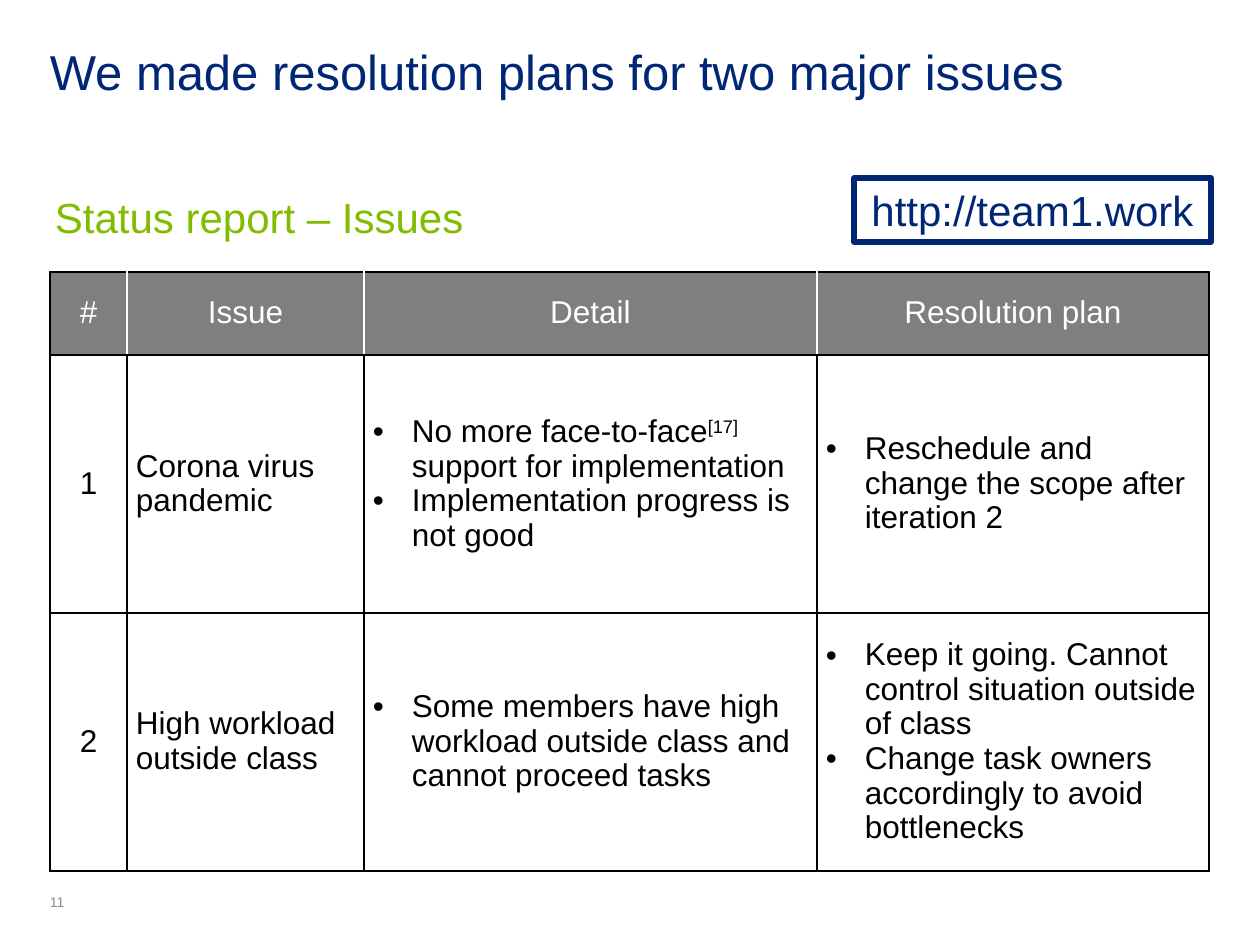
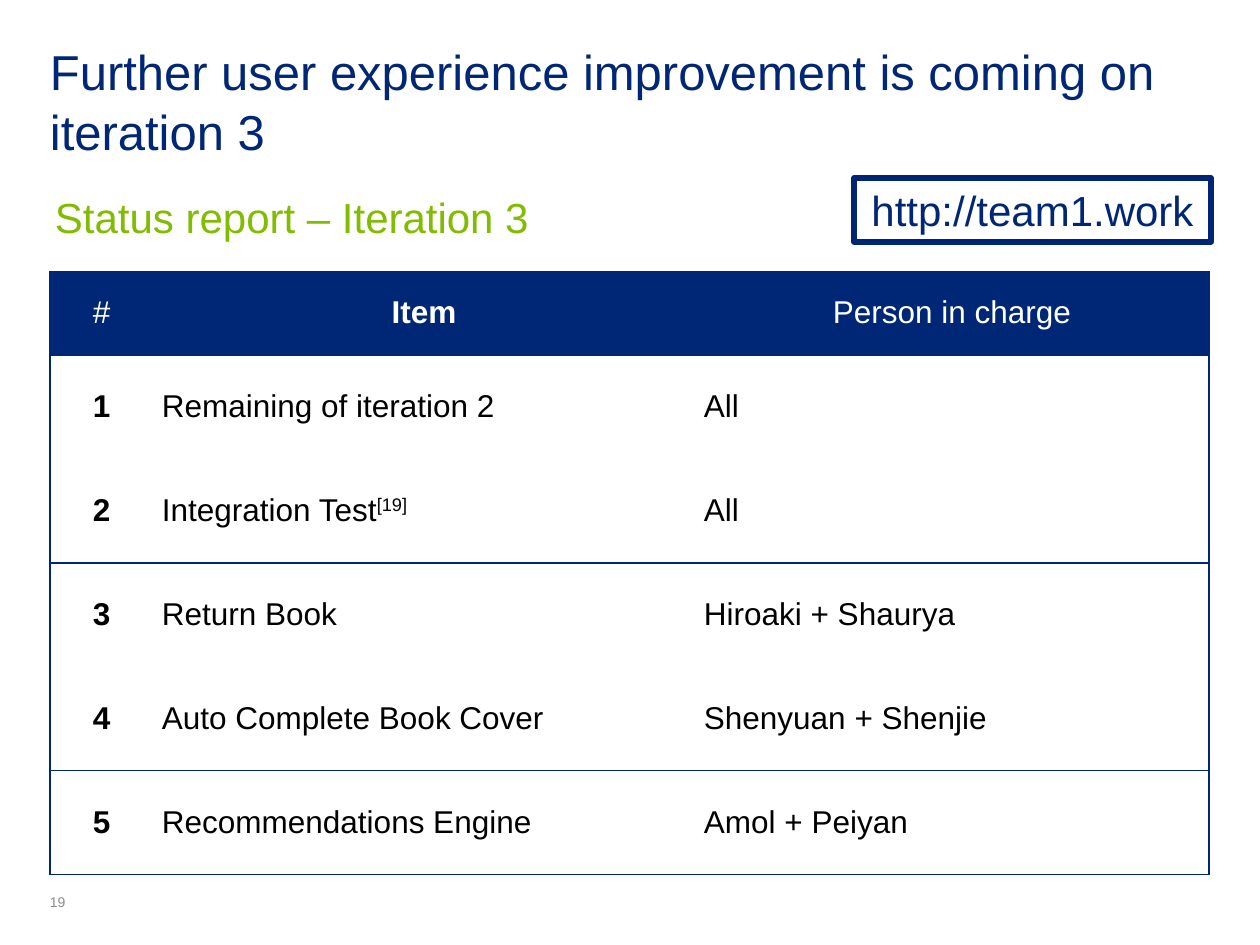
from dataclasses import dataclass
from lxml import etree
from pptx import Presentation
from pptx import util as u
from pptx.dml.color import RGBColor
from pptx.enum import shapes, text
from pptx.oxml import ns

SCALE = 914400 / 126
CENTER = text.PP_ALIGN.CENTER
MIDDLE = text.MSO_ANCHOR.MIDDLE


@dataclass(frozen=True)
class Theme:
    font: str = "Arial"
    navy: str = "002776"
    frame: str = "002575"
    green: str = "81BC01"
    gray: str = "7F7F7F"
    page: str = "8C8C8C"
    black: str = "000000"
    white: str = "FFFFFF"
    title: int = 28
    subtitle: int = 24
    body: int = 18
    small: int = 8


def px(n):
    return u.Emu(round(n * SCALE))


def rgb(value):
    return RGBColor.from_string(value)


def child(parent, tag, **attrs):
    return etree.SubElement(parent, ns.qn(tag), attrs)


def write(tf, lines, *, font, size, color, bold=False, align=None, spacing=None, bullet=False):
    for i, line in enumerate(lines.split("\n")):
        p = tf.add_paragraph() if i else tf.paragraphs[0]
        p.alignment = align
        p.line_spacing = spacing
        if bullet:
            pPr = p._p.get_or_add_pPr()
            pPr.set("marL", str(px(39)))
            pPr.set("indent", str(-px(39)))
            child(pPr, "a:buFont", typeface=font)
            child(pPr, "a:buChar", char="•")
        for j, part in enumerate(line.split("^")):
            r = p.add_run()
            r.text = part
            r.font.name, r.font.size, r.font.bold = font, u.Pt(size), bold
            r.font.color.rgb = rgb(color)
            if j % 2:
                r._r.get_or_add_rPr().set("baseline", "30000")


class Deck:
    def __init__(self, theme):
        self.theme = theme
        self.prs = Presentation()
        self.prs.slide_width, self.prs.slide_height = px(1260), px(945)
        self.s = None

    def text(self, lines, box, anchor=text.MSO_ANCHOR.TOP, **fmt):
        sp = self.s.shapes.add_textbox(*map(px, box))
        self.fill_frame(sp.text_frame, lines, anchor, **fmt)

    def fill_frame(self, tf, lines, anchor, **fmt):
        tf.word_wrap = True
        tf.vertical_anchor = anchor
        tf.margin_left = tf.margin_right = tf.margin_top = tf.margin_bottom = 0
        write(tf, lines, font=self.theme.font, **fmt)

    def badge(self, label, box):
        t = self.theme
        sp = self.s.shapes.add_shape(shapes.MSO_SHAPE.RECTANGLE, *map(px, box))
        sp.shadow.inherit = False
        sp.fill.background()
        sp.line.color.rgb = rgb(t.frame)
        sp.line.width = u.Pt(3)
        self.fill_frame(sp.text_frame, label, MIDDLE, size=t.subtitle, color=t.navy, align=CENTER)

    def slide(self, title, subtitle, number):
        t = self.theme
        self.s = self.prs.slides.add_slide(self.prs.slide_layouts[6])
        self.text(str(number), (50, 893, 63, 17), text.MSO_ANCHOR.BOTTOM, size=t.small, color=t.page)
        self.badge("http://team1.work", (854, 178, 357, 64))
        self.text(title, (50, 41, 1159, 64), size=t.title, color=t.navy, spacing=u.Pt(34))
        self.text(subtitle, (55, 189, 1134, 44), size=t.subtitle, color=t.green, spacing=u.Pt(30))

    def table(self, rows, widths, heights, style):
        box = (50, 272, sum(widths), sum(heights))
        tbl = self.s.shapes.add_table(len(rows), len(widths), *map(px, box)).table
        tbl.first_row = tbl.horz_banding = False
        for column, width in zip(tbl.columns, widths):
            column.width = px(width)
        for row, height in zip(tbl.rows, heights):
            row.height = px(height)
        for i, row in enumerate(rows):
            for j, lines in enumerate(row):
                self.cell(tbl.cell(i, j), lines, **style(i, j))

    def cell(self, cell, lines, fill, edges, width, **fmt):
        cell.margin_left = cell.margin_right = px(9)
        cell.margin_top = cell.margin_bottom = 0
        cell.vertical_anchor = MIDDLE
        tcPr = cell._tc.get_or_add_tcPr()
        for side, color in zip("LRTB", edges):
            ln = child(tcPr, f"a:ln{side}", w=str(u.Pt(width)))
            if color:
                child(child(ln, "a:solidFill"), "a:srgbClr", val=color)
            else:
                child(ln, "a:noFill")
        cell.fill.solid()
        cell.fill.fore_color.rgb = rgb(fill)
        write(cell.text_frame, lines, font=self.theme.font, size=self.theme.body, spacing=0.98, **fmt)


def issues(deck):
    t = deck.theme
    rows = [
        ("#", "Issue", "Detail", "Resolution plan"),
        ("1", "Corona virus\npandemic",
         "No more face-to-face^[17]^ support for implementation\nImplementation progress is not good",
         "Reschedule and change the scope after iteration 2"),
        ("2", "High workload outside class",
         "Some members have high workload outside class and cannot proceed tasks",
         "Keep it going. Cannot control situation outside of class\n"
         "Change task owners accordingly to avoid bottlenecks"),
    ]

    def style(i, j):
        head = i == 0
        left = t.white if head and j > 0 else t.black
        right = t.white if head and j < 3 else t.black
        return dict(fill=t.gray if head else t.white, color=t.white if head else t.black,
                    edges=(left, right, t.black, t.black), width=1,
                    align=CENTER if head or j == 0 else None, bullet=not head and j > 1)

    deck.slide("We made resolution plans for two major issues", "Status report – Issues", 11)
    deck.table(rows, (77, 237, 453, 392), (83, 258, 258), style)


def iteration(deck):
    t = deck.theme
    rows = [
        ("#", "Item", "Person in charge"),
        ("1", "Remaining of iteration 2", "All"),
        ("2", "Integration Test^[19]^", "All"),
        ("3", "Return Book", "Hiroaki + Shaurya"),
        ("4", "Auto Complete Book Cover", "Shenyuan + Shenjie"),
        ("5", "Recommendations Engine", "Amol + Peiyan"),
    ]
    ruled = (0, 2, 4, 5)

    def style(i, j):
        head = i == 0
        on = (j == 0, j == 2, head or i - 1 in ruled, i in ruled)
        return dict(fill=t.navy if head else t.white, color=t.white if head else t.black,
                    edges=[t.navy if x else None for x in on], width=0.75,
                    align=CENTER if head or j == 0 else None,
                    bold=j == 1 if head else j == 0)

    deck.slide("Further user experience improvement is coming on iteration 3",
               "Status report – Iteration 3", 19)
    deck.table(rows, (103, 542, 514), (83,) + (104,) * 5, style)


def main():
    deck = Deck(Theme())
    issues(deck)
    iteration(deck)
    deck.prs.save("out.pptx")


if __name__ == "__main__":
    main()
